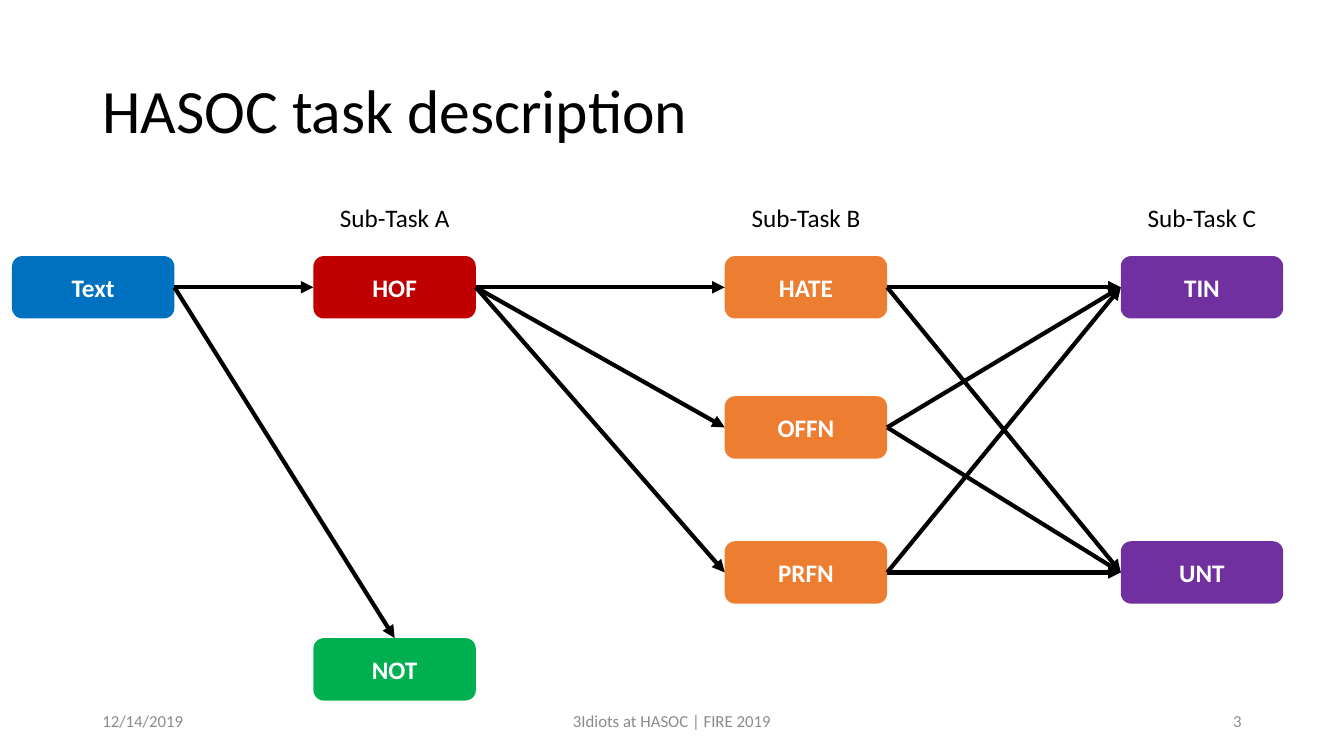
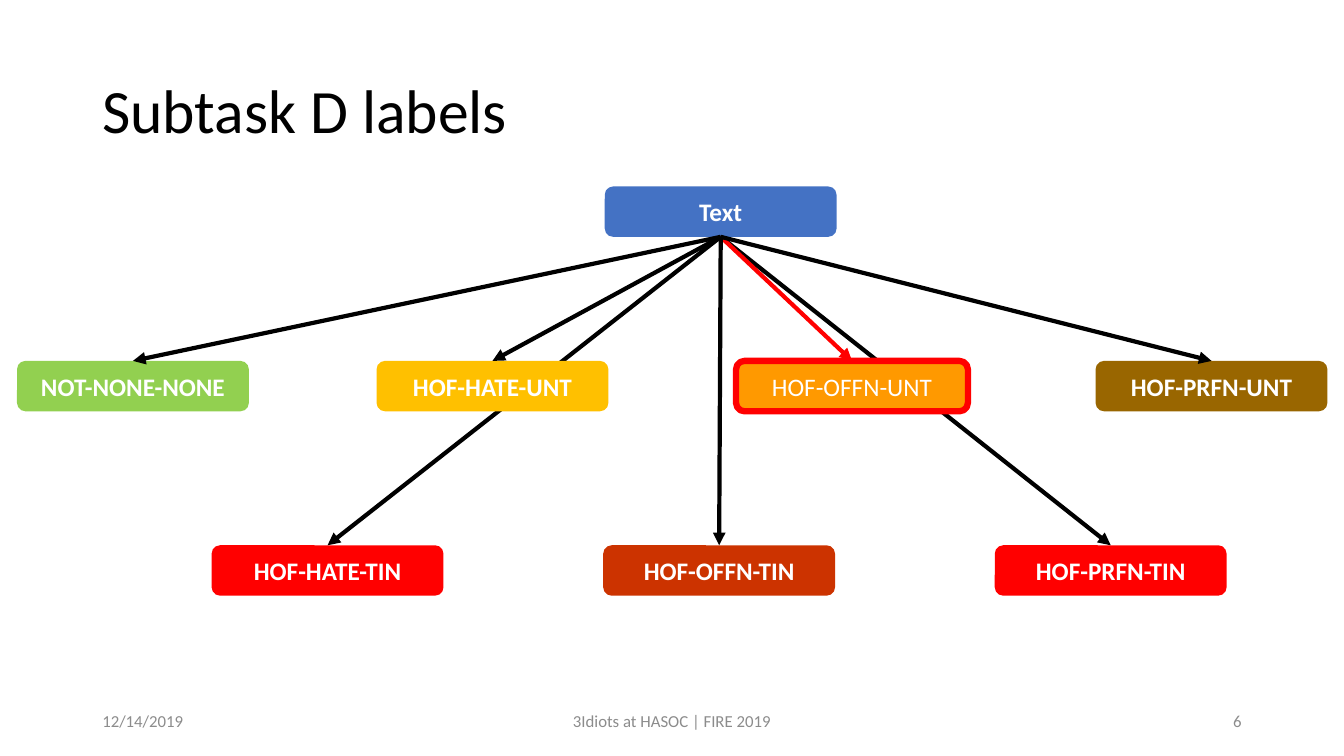
import pptx
import pptx.dml.color
import pptx.enum.shapes
import pptx.enum.text
import pptx.oxml.ns
import pptx.oxml.xmlchemy
import pptx.util

Pt = pptx.util.Pt
ALIGN = pptx.enum.text.PP_ALIGN
ANCHOR = pptx.enum.text.MSO_ANCHOR
SHAPE = pptx.enum.shapes.MSO_SHAPE
LINK = pptx.enum.shapes.MSO_CONNECTOR

# Shared style
FONT = "Calibri"
COLORS = {
    "black": "000000", "white": "FFFFFF", "gray": "8C8C8C",
    "blue": "0070C0", "crimson": "C00000", "green": "00B050",
    "orange": "ED7D31", "purple": "7030A0", "azure": "4472C4",
    "lime": "92D050", "gold": "FFC000", "amber": "FF9900",
    "brown": "996600", "red": "FF0000", "rust": "CC3300",
}
TOP, LEFT, BOTTOM, RIGHT = range(4)  # connection sites of a box


def color(name):
    return pptx.dml.color.RGBColor.from_string(COLORS[name])


def write(shape, text, size, ink, align, anchor=ANCHOR.MIDDLE, bold=False):
    frame = shape.text_frame
    frame.word_wrap = True
    frame.vertical_anchor = anchor
    frame.text = text
    para = frame.paragraphs[0]
    para.alignment = align
    font = para.runs[0].font
    font.name, font.size, font.bold = FONT, Pt(size), bold
    font.color.rgb = color(ink)
    return para


def label(slide, text, at, size, ink="black", align=ALIGN.LEFT, anchor=ANCHOR.MIDDLE):
    shape = slide.shapes.add_textbox(*map(Pt, at))
    return write(shape, text, size, ink, align, anchor)


def box(slide, text, at, fill, edge=None):
    shape = slide.shapes.add_shape(SHAPE.ROUNDED_RECTANGLE, *map(Pt, at))
    shape.shadow.inherit = False
    shape.fill.solid()
    shape.fill.fore_color.rgb = color(fill)
    if edge:
        shape.line.color.rgb = color(edge)
        shape.line.width = Pt(4.5)
    else:
        shape.line.fill.background()
    write(shape, text, 18, "white", ALIGN.CENTER, bold=not edge)
    return shape


def arrow(slide, start, out, end, into, ink="black"):
    line = slide.shapes.add_connector(LINK.STRAIGHT, 0, 0, 0, 0)
    line.begin_connect(start, out)
    line.end_connect(end, into)
    line.line.color.rgb = color(ink)
    line.line.width = Pt(3)
    # Arrowhead, and no shadow
    make = pptx.oxml.xmlchemy.OxmlElement
    props = line._element.spPr
    head = make("a:tailEnd")
    head.set("type", "triangle")
    props.find(pptx.oxml.ns.qn("a:ln")).append(head)
    props.append(make("a:effectLst"))


def page(deck, title, number):
    slide = deck.slides.add_slide(deck.slide_layouts[6])
    label(slide, title, (66, 28.75, 828, 104.4), 44).line_spacing = 0.9
    footer = (
        ("12/14/2019", 66, 216, ALIGN.LEFT),
        ("3Idiots at HASOC | FIRE 2019", 318, 324, ALIGN.CENTER),
        (number, 678, 216, ALIGN.RIGHT),
    )
    for text, x, width, align in footer:
        label(slide, text, (x, 500.5, width, 28.75), 12, "gray", align)
    return slide


def tasks(deck):
    slide = page(deck, "HASOC task description", "3")
    cols = (8.6, 223.9, 517.7, 800.6)
    rows = (182.9, 283, 386.6, 455.8)
    wide, high = 116, 44.6

    # Boxes: name, column, row, fill
    nodes = {}
    for name, col, row, fill in (
        ("Text", 0, 0, "blue"), ("HOF", 1, 0, "crimson"), ("NOT", 1, 3, "green"),
        ("HATE", 2, 0, "orange"), ("OFFN", 2, 1, "orange"), ("PRFN", 2, 2, "orange"),
        ("TIN", 3, 0, "purple"), ("UNT", 3, 2, "purple"),
    ):
        nodes[name] = box(slide, name, (cols[col], rows[row], wide, high), fill)

    # Column headings
    for x, letter in zip(cols[1:], "ABC"):
        label(slide, f"Sub-Task {letter}", (x - 10.8, 141.1, wide + 21.6, 36), 18,
              align=ALIGN.CENTER, anchor=ANCHOR.TOP)

    # Arrows
    arrow(slide, nodes["Text"], RIGHT, nodes["HOF"], LEFT)
    arrow(slide, nodes["Text"], RIGHT, nodes["NOT"], TOP)
    kinds = ("HATE", "OFFN", "PRFN")
    for kind in kinds:
        arrow(slide, nodes["HOF"], RIGHT, nodes[kind], LEFT)
    for kind in kinds:
        for target in ("TIN", "UNT"):
            arrow(slide, nodes[kind], RIGHT, nodes[target], LEFT)


def labels(deck):
    slide = page(deck, "Subtask D labels", "6")
    wide, high = 165.6, 36
    root = box(slide, "Text", (432, 133.2, wide, high), "azure")

    # Lower row, whose outer arrows run behind the upper row
    lower = [
        box(slide, text, (151.2 + i * 279.7, 389.5, wide, high), fill)
        for i, (text, fill) in enumerate((
            ("HOF-HATE-TIN", "red"), ("HOF-OFFN-TIN", "rust"), ("HOF-PRFN-TIN", "red")))
    ]
    for node in (lower[0], lower[2]):
        arrow(slide, root, BOTTOM, node, TOP)

    # Upper row
    for i, (text, fill, edge) in enumerate((
        ("NOT-NONE-NONE", "lime", None), ("HOF-HATE-UNT", "gold", None),
        ("HOF-OFFN-UNT", "amber", "red"), ("HOF-PRFN-UNT", "brown", None),
    )):
        node = box(slide, text, (12.2 + i * 256.8, 257.8, wide, high), fill, edge)
        arrow(slide, root, BOTTOM, node, TOP, edge or "black")
    arrow(slide, root, BOTTOM, lower[1], TOP)


def main():
    deck = pptx.Presentation()
    deck.slide_width, deck.slide_height = Pt(960), Pt(540)
    tasks(deck)
    labels(deck)
    deck.save("out.pptx")


if __name__ == "__main__":
    main()
